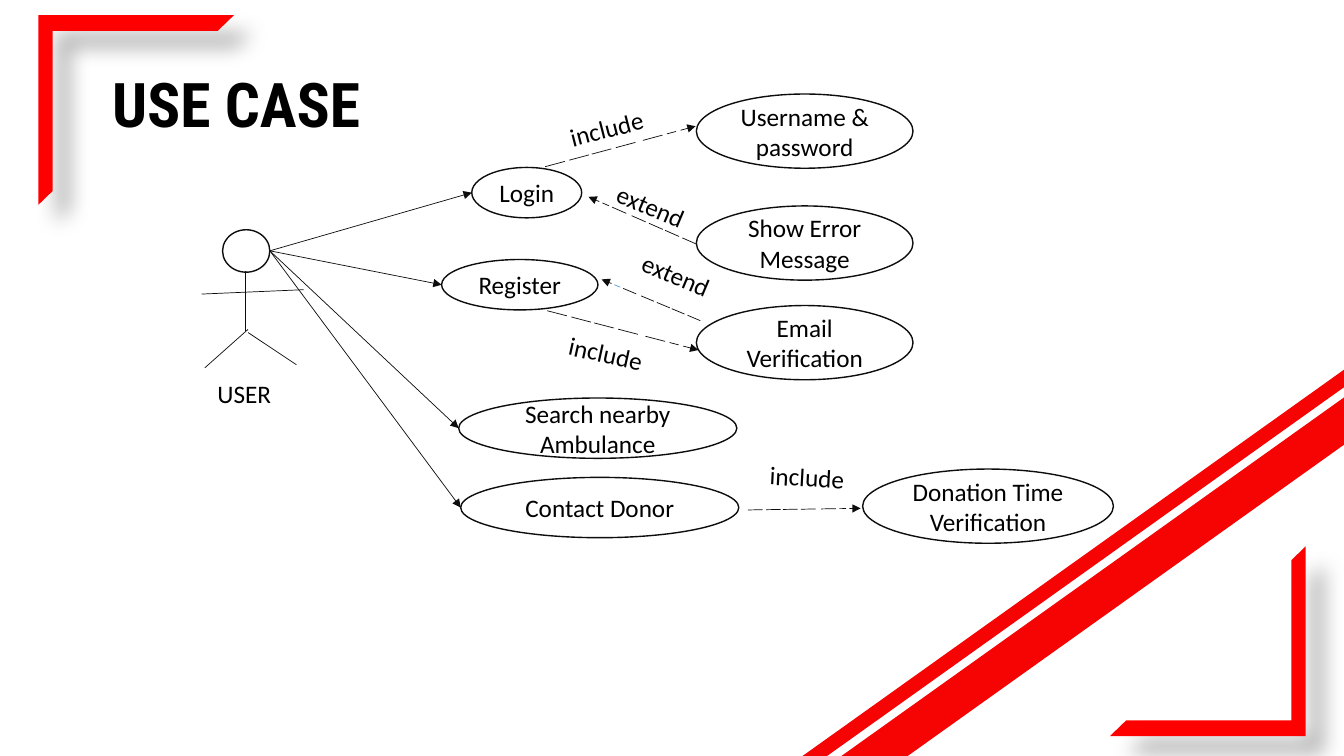
import lxml.etree
import pptx
import pptx.dml.color
import pptx.enum.shapes
import pptx.enum.text
import pptx.oxml.ns
import pptx.util

Cm = pptx.util.Cm
Pt = pptx.util.Pt
RGBColor = pptx.dml.color.RGBColor
SHAPE = pptx.enum.shapes.MSO_SHAPE
ALIGN = pptx.enum.text.PP_ALIGN
ANCHOR = pptx.enum.text.MSO_ANCHOR

RED = RGBColor(0xFF, 0x00, 0x00)
BAND_RED = RGBColor(0xF6, 0x03, 0x03)
WHITE = RGBColor(0xFF, 0xFF, 0xFF)
BLACK = RGBColor(0x00, 0x00, 0x00)
INK = RGBColor(0x0D, 0x0D, 0x0D)
BLUE = RGBColor(0x5B, 0x9B, 0xD5)

USE_CASES = [
    ("Login", 6.81, 1.85, 2.77, 1.27),
    ("Register", 6.05, 4.17, 3.94, 1.27),
    ("Search nearby Ambulance", 6.48, 7.66, 7.01, 1.52),
    ("Contact Donor", 6.53, 9.66, 7.01, 1.52),
]
DEPENDENT_CASES = [
    ("Username & password", 12.47, 0, 5.46, 1.87),
    ("Show Error Message", 12.47, 2.82, 5.46, 1.87),
    ("Email Verification", 12.47, 5.33, 5.46, 1.87),
    ("Donation Time Verification", 16.66, 9.45, 6.32, 1.87),
]
RELATIONS = [
    ("include", (8.66, 1.83), (12.45, 0.81), (9.02, 0.33), -14.4, INK),
    ("extend", (12.47, 3.78), (9.75, 2.59), (10.16, 2.37), 23, INK),
    ("include", (8.71, 5.46), (12.52, 6.45), (8.99, 6.04), 12.6, INK),
    ("extend", (12.57, 5.71), (10.08, 4.67), (10.8, 4.11), 23, BLUE),
    ("include", (13.77, 10.48), (16.61, 10.44), (14.07, 9.14), 3, INK),
]
DASHES = [(0, 0.13), (0.16, 0.29), (0.31, 0.44), (0.47, 0.6),
          (0.65, 0.78), (0.81, 0.87), (0.9, 1)]
TINTED_DASH = DASHES[5]


def add_xml(parent, tag, **attributes):
    """Append a drawing element and return it."""
    return lxml.etree.SubElement(parent, pptx.oxml.ns.qn(tag), attributes)


def write(frame, words, size=18, font="Calibri", bold=False, align=ALIGN.LEFT):
    """Put one formatted paragraph into a text frame and return it."""
    frame.text = words
    paragraph = frame.paragraphs[0]
    paragraph.alignment = align
    paragraph.font.size = Pt(size)
    paragraph.font.name = font
    paragraph.font.bold = bold
    paragraph.font.color.rgb = BLACK
    return paragraph


def add_stroke(slide, start, end, arrow=False, color=INK):
    """Draw a thin line, optionally ending in an arrowhead."""
    points = [Cm(value) for value in (*start, *end)]
    stroke = slide.shapes.add_connector(
        pptx.enum.shapes.MSO_CONNECTOR.STRAIGHT, *points)
    stroke.line.color.rgb = color
    stroke.line.width = Pt(0.5)
    properties = stroke.element.spPr
    if arrow:
        outline = properties.find(pptx.oxml.ns.qn("a:ln"))
        add_xml(outline, "a:tailEnd", type="triangle")
    add_xml(properties, "a:effectLst")


def add_dashed_arrow(slide, start, end, tint):
    """Draw an arrow as a row of dashes, the last one with the head."""
    def along(share):
        return [a + (b - a) * share for a, b in zip(start, end)]

    for dash in DASHES:
        add_stroke(slide, along(dash[0]), along(dash[1]),
                   arrow=dash == DASHES[-1],
                   color=tint if dash == TINTED_DASH else INK)


def add_ellipse(slide, left, top, width, height):
    """Draw a white ellipse with a dark outline."""
    ellipse = slide.shapes.add_shape(
        SHAPE.OVAL, Cm(left), Cm(top), Cm(width), Cm(height))
    ellipse.shadow.inherit = False
    ellipse.fill.solid()
    ellipse.fill.fore_color.rgb = WHITE
    ellipse.line.color.rgb = INK
    ellipse.line.width = Pt(1)
    return ellipse


def add_label(slide, words, left, top, width, height, rotation=0):
    """Place a text label, turned by the given angle."""
    label = slide.shapes.add_textbox(Cm(left), Cm(top), Cm(width), Cm(height))
    label.rotation = rotation
    label.text_frame.word_wrap = rotation != 0
    write(label.text_frame, words)


def add_corner(slide, left, top, width, height, rotation):
    """Draw a red corner bracket with a soft shadow."""
    corner = slide.shapes.add_shape(
        SHAPE.HALF_FRAME, Cm(left), Cm(top), Cm(width), Cm(height))
    corner.adjustments[0] = 0.083
    corner.adjustments[1] = 0.075
    corner.rotation = rotation
    corner.fill.solid()
    corner.fill.fore_color.rgb = RED
    corner.line.fill.background()
    effects = add_xml(corner.element.spPr, "a:effectLst")
    shadow = add_xml(effects, "a:outerShdw", blurRad=str(Pt(15)),
                     dist=str(Pt(18)), dir="2700000", algn="tl",
                     rotWithShape="0")
    tint = add_xml(shadow, "a:srgbClr", val=str(BLACK))
    add_xml(tint, "a:alpha", val="30000")


def add_bands(slide, left, top, width):
    """Draw the wide and the narrow diagonal band."""
    for shift_x, shift_y, thickness in ((0.25, 0.59, 0.97), (0, 0, 0.36)):
        band = slide.shapes.add_shape(
            SHAPE.RECTANGLE, Cm(left + shift_x), Cm(top + shift_y),
            Cm(width), Cm(thickness))
        band.rotation = 324.5
        band.shadow.inherit = False
        band.fill.solid()
        band.fill.fore_color.rgb = BAND_RED
        band.line.fill.background()


def add_title(slide, left, top, width, height):
    """Move and format the title placeholder."""
    title = slide.shapes.title
    title.left, title.top = Cm(left), Cm(top)
    title.width, title.height = Cm(width), Cm(height)
    title.text_frame.vertical_anchor = ANCHOR.MIDDLE
    heading = write(title.text_frame, "USE CASE", 44, "Roboto Condensed", True)
    heading.line_spacing = 0.9


def add_actor(slide, left, top):
    """Draw the stick figure of the user and return its right head point."""
    add_ellipse(slide, left + 0.53, top, 1.19, 1.07)
    limbs = [
        (1.11, 1.04, 1.11, 2.54),
        (0, 1.62, 2.57, 1.51),
        (1.17, 2.51, 0.08, 3.48),
        (1.17, 2.59, 2.39, 3.4),
    ]
    for x1, y1, x2, y2 in limbs:
        add_stroke(slide, (left + x1, top + y1), (left + x2, top + y2))
    add_label(slide, "USER", left + 0.15, top + 3.63, 1.88, 1.02)
    return left + 1.72, top + 0.53


def add_diagram(slide, left, top):
    """Draw the actor, the use cases and their relations."""
    hand = add_actor(slide, left, top + 3.42)
    for words, x, y, width, height in USE_CASES + DEPENDENT_CASES:
        case = add_ellipse(slide, left + x, top + y, width, height)
        case.text_frame.word_wrap = True
        case.text_frame.vertical_anchor = ANCHOR.MIDDLE
        write(case.text_frame, words, align=ALIGN.CENTER)
    for _, x, y, _, height in USE_CASES:
        add_stroke(slide, hand, (left + x, top + y + height / 2), arrow=True)
    for words, start, end, label, rotation, tint in RELATIONS:
        add_dashed_arrow(slide, (left + start[0], top + start[1]),
                         (left + end[0], top + end[1]), tint)
        add_label(slide, words, left + label[0], top + label[1],
                  2.54, 1.09, rotation)


def main():
    """Build the use case slide and save it."""
    deck = pptx.Presentation()
    deck.slide_width, deck.slide_height = Cm(33.87), Cm(19.05)
    slide = deck.slides.add_slide(deck.slide_layouts[5])
    add_corner(slide, 0.97, 0.38, 4.93, 4.78, 0)
    add_corner(slide, 27.97, 13.77, 4.93, 4.78, 180)
    add_title(slide, 2.57, 0.87, 29.21, 3.68)
    add_bands(slide, 11.18, 15.29, 28.75)
    add_diagram(slide, 5.08, 2.37)
    deck.save("out.pptx")


if __name__ == "__main__":
    main()
